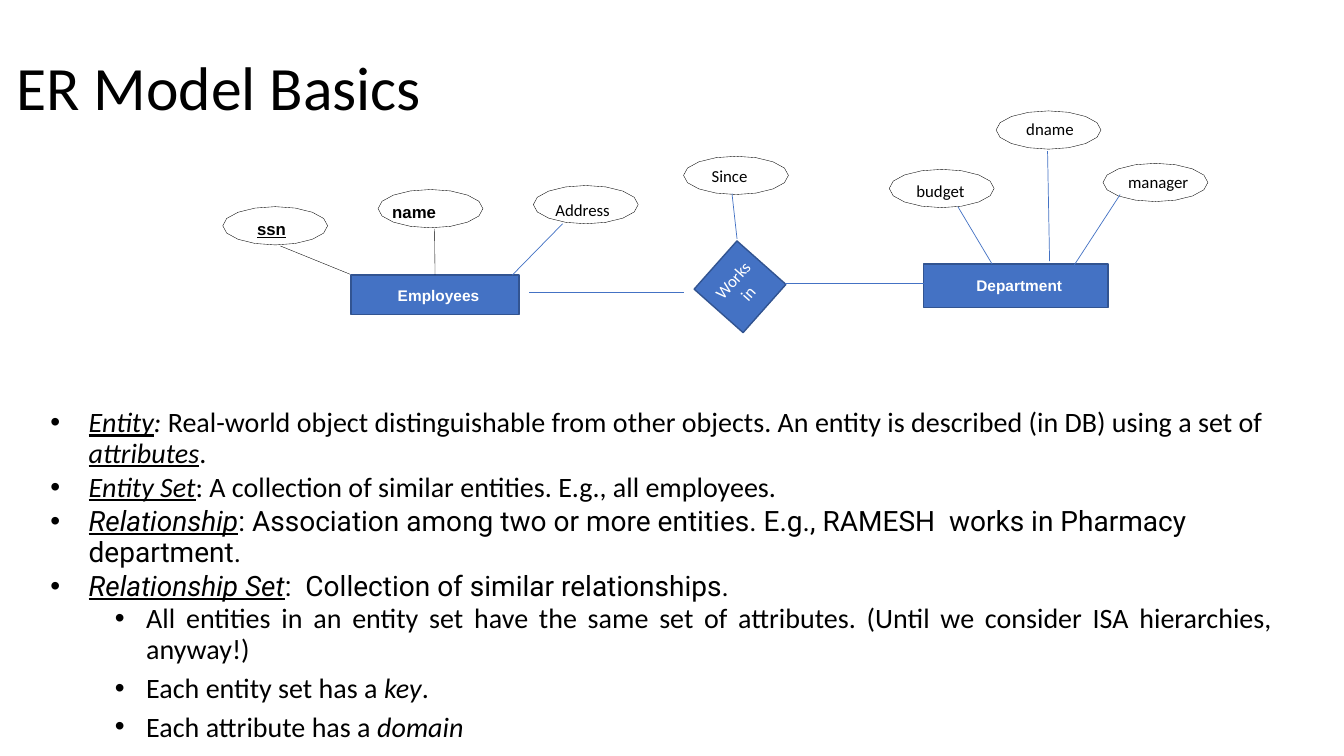
import math

import pptx
import pptx.dml.color
import pptx.enum.shapes
import pptx.enum.text
import pptx.util
from lxml import etree
from pptx.util import Inches

BLACK, WHITE, BLUE, DARK_BLUE = "000000", "FFFFFF", "4472C4", "325491"
PP_ALIGN = pptx.enum.text.PP_ALIGN
MIDDLE = pptx.enum.text.MSO_ANCHOR.MIDDLE
RECTANGLE = pptx.enum.shapes.MSO_SHAPE.RECTANGLE
STRAIGHT = pptx.enum.shapes.MSO_CONNECTOR.STRAIGHT


def color(hex_string):
    return pptx.dml.color.RGBColor.from_string(hex_string)


def write(paragraph, text, size=12, font="Calibri", ink=BLACK, bold=False, italic=False, underline=False):
    run = paragraph.add_run()
    run.text = text
    run.font.size = pptx.util.Pt(size)
    run.font.name = font
    run.font.color.rgb = color(ink)
    run.font.bold, run.font.italic, run.font.underline = bold, italic, underline


presentation = pptx.Presentation()
presentation.slide_width, presentation.slide_height = Inches(13.33), Inches(7.5)
slide = presentation.slides.add_slide(presentation.slide_layouts[1])
shapes = slide.shapes

# Title
title = shapes.title
title.left, title.top, title.width, title.height = Inches(0.06), Inches(0.17), Inches(11.5), Inches(1.45)
title.text_frame.vertical_anchor = MIDDLE
heading = title.text_frame.paragraphs[0]
heading.alignment = PP_ALIGN.LEFT
heading.line_spacing = 0.9
write(heading, "ER Model Basics", size=44)

# Definitions
term = {"italic": True, "underline": True}
emphasis = {"italic": True}
roboto = {"font": "Roboto"}
# level, line spacing, space before, runs
definitions = [
    (0, 0.91, 0.9, [
        ("Entity", term), (": ", emphasis),
        ("Real-world object distinguishable from other objects. An entity is described (in DB) using a set of ", {}),
        ("attributes", term), (".", {})]),
    (0, 0.92, 2.2, [("Entity Set", term), (": A collection of similar entities. E.g., all employees.", {})]),
    (0, 0.92, 2.2, [
        ("Relationship", term | roboto),
        (": Association among two or more entities. E.g., RAMESH  works in Pharmacy department.", roboto)]),
    (0, 0.92, 2.2, [
        ("Relationship Set", term | roboto), (":  Collection of similar relationships.", roboto)]),
    (1, 0.9, 1.7, [
        ("All entities in an entity set have the same set of attributes. "
         "(Until we consider ISA hierarchies, anyway!)", {})]),
    (1, 1.11, 1.2, [("Each entity set has a ", {}), ("key", emphasis), (".", {})]),
    (1, 1.11, 1.2, [("Each attribute has a ", {}), ("domain", emphasis)]),
]
body = slide.placeholders[1]
body.left, body.top, body.width, body.height = Inches(0.06), Inches(4), Inches(13.01), Inches(3.12)
body.text_frame.auto_size = pptx.enum.text.MSO_AUTO_SIZE.NONE
for number, (level, line_spacing, space_before, runs) in enumerate(definitions):
    definition = body.text_frame.add_paragraph() if number else body.text_frame.paragraphs[0]
    definition.level = level
    definition.alignment = PP_ALIGN.JUSTIFY if level else PP_ALIGN.LEFT
    definition.line_spacing = line_spacing
    definition.space_before = pptx.util.Pt(space_before)
    properties = definition._p.get_or_add_pPr()
    margin, indent, right_margin = (1.29, -0.31, 0.35) if level else (0.72, -0.38, 0)
    properties.set("marL", str(Inches(margin)))
    properties.set("indent", str(Inches(indent)))
    properties.set("marR", str(Inches(right_margin)))
    etree.SubElement(properties, pptx.oxml.ns.qn("a:buFont"), typeface="Arial")
    etree.SubElement(properties, pptx.oxml.ns.qn("a:buChar"), char="•")
    for text, style in runs:
        write(definition, text, size=20, **style)

# Entities and relationship: left, top, width, height, rotation
boxes = {
    "Employees": (3.48, 2.73, 1.67, 0.39, 0),
    "Department": (9.16, 2.62, 1.83, 0.43, 0),
    "Works in": (7.02, 2.52, 0.64, 0.65, 311.6),
}
drawn_boxes = {}
for name, (left, top, width, height, rotation) in boxes.items():
    box = shapes.add_shape(RECTANGLE, Inches(left), Inches(top), Inches(width), Inches(height))
    drawn_boxes[name] = box
    box.rotation = rotation
    box.shadow.inherit = False
    box.fill.solid()
    box.fill.fore_color.rgb = color(BLUE)
    box.line.color.rgb = color(DARK_BLUE)
    box.line.width = pptx.util.Pt(1)
    frame = box.text_frame
    frame.vertical_anchor = MIDDLE
    frame.word_wrap = True
    caption = frame.paragraphs[0]
    caption.alignment = PP_ALIGN.CENTER
    if rotation:
        write(caption, name, ink=WHITE)
    else:
        frame.margin_left = frame.margin_top = frame.margin_right = frame.margin_bottom = 0
        caption.space_before = pptx.util.Pt(2.1)
        caption._p.get_or_add_pPr().set("marL", str(Inches(0.07)))
        write(caption, name, size=11, font="Arial", ink=WHITE, bold=True)

# Attributes: name, oval centre, label left, top, width, height, label margins, format
key_style = {"font": "Arial", "bold": True}
attributes = [
    ("ssn", 2.73, 2.24, 2.55, 2.17, 0.43, 0.21, False, key_style | {"underline": True}),
    ("name", 4.27, 2.07, 3.89, 2, 0.65, 0.21, False, key_style),
    ("Address", 5.81, 2.03, 5.41, 1.93, 0.75, 0.3, True, {}),
    ("Since", 7.3, 1.74, 6.96, 1.6, 0.6, 0.3, True, {}),
    ("budget", 9.34, 1.87, 8.99, 1.74, 0.68, 0.3, True, {}),
    ("dname", 10.4, 1.29, 10.08, 1.13, 0.68, 0.3, True, {}),
    ("manager", 11.46, 1.81, 11.09, 1.65, 0.81, 0.3, True, {}),
]
OVAL_SIDES = 16
for name, center_x, center_y, left, top, width, height, has_margins, style in attributes:
    corners = []
    for side in range(OVAL_SIDES):
        angle = 2 * math.pi * side / OVAL_SIDES
        corners.append((Inches(center_x + 0.52 * math.cos(angle)), Inches(center_y - 0.19 * math.sin(angle))))
    outline = shapes.build_freeform(*corners[0])
    outline.add_line_segments(corners[1:], close=True)
    oval = outline.convert_to_shape()
    oval.shadow.inherit = False
    oval.fill.background()
    oval.line.color.rgb = color(BLACK)
    oval.line.width = pptx.util.Pt(0.25)

    label = shapes.add_textbox(Inches(left), Inches(top), Inches(width), Inches(height))
    frame = label.text_frame
    frame.word_wrap = not has_margins
    if not has_margins:
        frame.margin_left = frame.margin_top = frame.margin_right = frame.margin_bottom = 0
    write(frame.paragraphs[0], name, **style)

# Links: from x, y, to x, y, colour, width, box joined at its top
links = [
    (2.78, 2.44, 3.47, 2.72, BLACK, 0.25, None),
    (4.31, 2.27, 4.31, 2.73, BLACK, 0.25, "Employees"),
    (5.58, 2.22, 5.08, 2.73, BLUE, 0.5, None),
    (7.26, 1.92, 7.31, 2.37, BLUE, 0.5, None),
    (6.78, 2.9, 5.25, 2.9, BLUE, 0.5, None),
    (9.32, 2.81, 7.79, 2.81, BLUE, 0.5, None),
    (10.39, 1.5, 10.41, 2.59, BLUE, 0.5, None),
    (11.11, 1.93, 10.57, 2.76, BLUE, 0.5, None),
    (9.5, 2.05, 9.84, 2.62, BLUE, 0.5, None),
]
for from_x, from_y, to_x, to_y, ink, width, joined in links:
    link = shapes.add_connector(STRAIGHT, Inches(from_x), Inches(from_y), Inches(to_x), Inches(to_y))
    link.line.color.rgb = color(ink)
    link.line.width = pptx.util.Pt(width)
    etree.SubElement(link._element.spPr, pptx.oxml.ns.qn("a:effectLst"))
    if joined:
        link.end_connect(drawn_boxes[joined], 0)

presentation.save("out.pptx")
